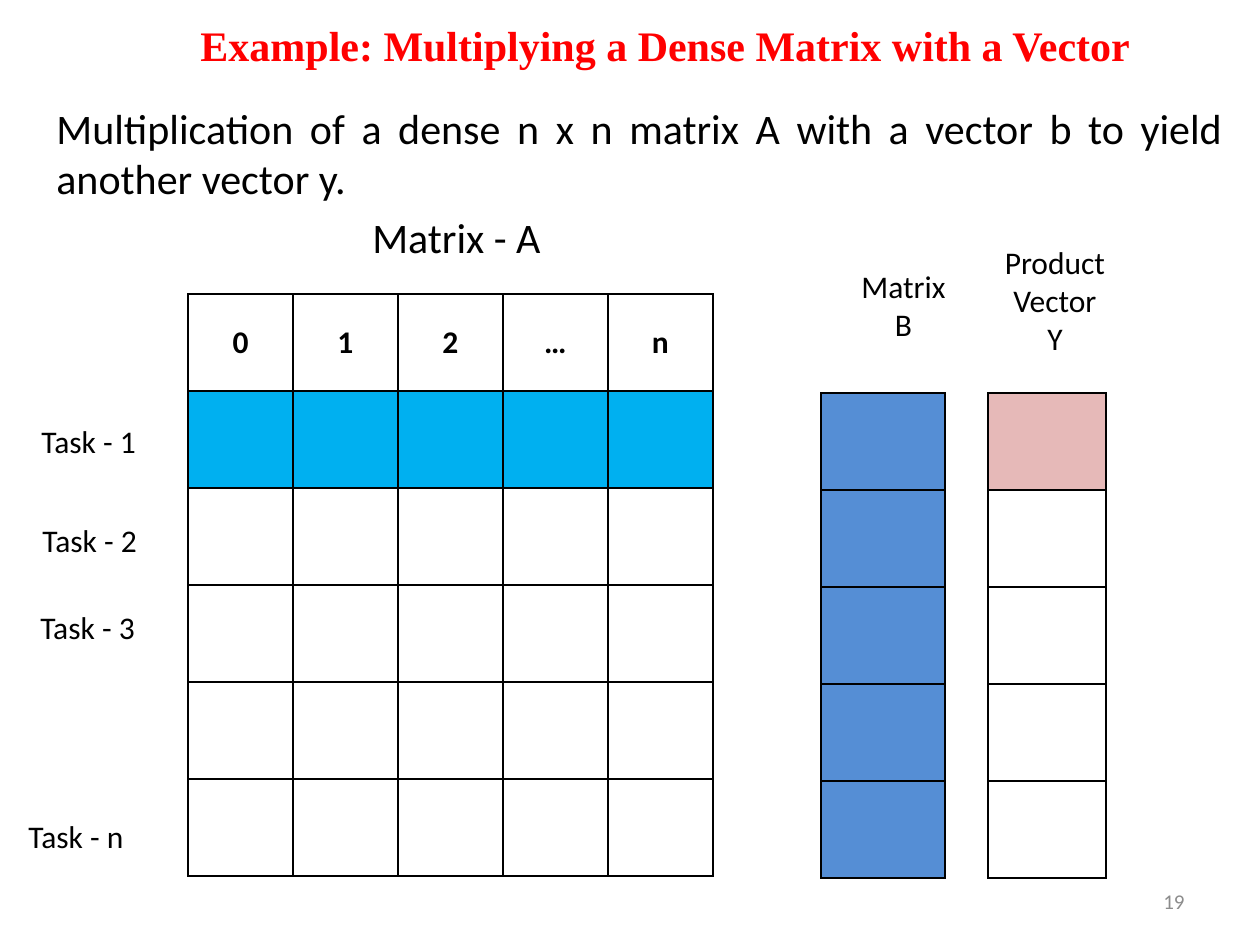
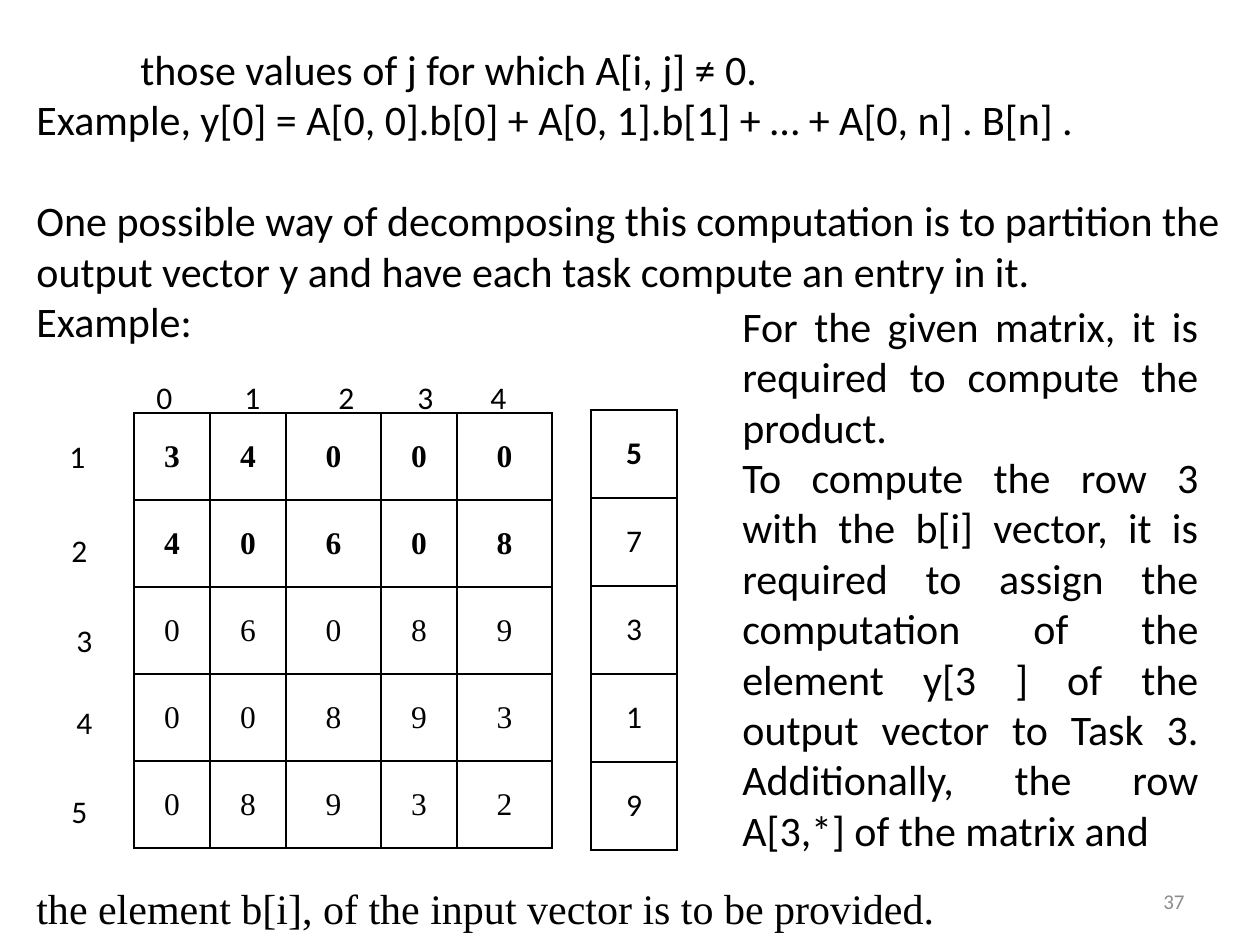
"""Build two slides on multiplying a matrix with a vector."""
from pptx import Presentation
from pptx.dml.color import RGBColor as RGB
from pptx.enum.text import MSO_ANCHOR as Anchor, PP_ALIGN as Align
from pptx.oxml import parse_xml
from pptx.oxml.ns import nsdecls
from pptx.util import Emu, Pt

SCALE = 914400 / 126
THEME = {
    "sans": "Calibri", "serif": "Times New Roman",
    "ink": "000000", "red": "FF0000", "gray": "8C8C8C",
    "sky": "00B0F0", "blue": "558ED5", "rose": "E6B9B8",
    "big": 24, "mid": 18, "small": 12, "rule": 1,
}
STYLES = {
    "title": {"size": "big", "name": "serif", "color": "red", "bold": True},
    "body": {"size": "big", "name": "sans", "color": "ink", "bold": False},
    "serif": {"size": "big", "name": "serif", "color": "ink", "bold": False},
    "label": {"size": "mid", "name": "sans", "color": "ink", "bold": False},
    "head": {"size": "mid", "name": "sans", "color": "ink", "bold": True},
    "cell": {"size": "mid", "name": "serif", "color": "ink", "bold": False},
    "strong": {"size": "mid", "name": "serif", "color": "ink", "bold": True},
    "page": {"size": "small", "name": "sans", "color": "gray", "bold": False},
}
LEFT, MID, JUST, RIGHT = Align.LEFT, Align.CENTER, Align.JUSTIFY, Align.RIGHT

DENSE = {
    "page": "19",
    "texts": [
        ((188, 13, 1052, 63), "title", LEFT,
         ["Example: Multiplying a Dense Matrix with a Vector"]),
        ((44, 96, 1191, 115), "body", JUST,
         ["Multiplication of a dense n x n matrix A with a vector b to yield another vector y."]),
        ((273, 205, 367, 63), "body", MID, ["Matrix - A"]),
        ((834, 261, 139, 89), "label", MID, ["Matrix", "B"]),
        ((973, 237, 164, 127), "label", MID, ["Product", "Vector", "Y"]),
    ],
    "marks": [("Task - 1", 29, 416), ("Task - 2", 30, 515),
              ("Task - 3", 28, 602), ("Task - n", 16, 811)],
    "tables": [
        {"at": (188, 294), "cols": [105] * 5, "row": 97,
         "rows": [["0", "1", "2", "…", "n"]] + [[""] * 5] * 5,
         "styles": ["head"] * 6, "fills": {1: "sky"}},
        {"at": (821, 393), "cols": [124], "row": 97, "rows": [[""]] * 5,
         "styles": ["label"] * 5, "fills": dict.fromkeys(range(5), "blue")},
        {"at": (988, 393), "cols": [118], "row": 97, "rows": [[""]] * 5,
         "styles": ["label"] * 5, "fills": {0: "rose"}},
    ],
}
SPARSE = {
    "page": "37",
    "texts": [
        ((24, 37, 1235, 318), "body", LEFT, [
            ("those values of j for which A[i, j] ≠ 0.", {"indent": 104}),
            "Example, y[0] = A[0, 0].b[0] + A[0, 1].b[1] + … + A[0, n] . B[n] .",
            ("One possible way of decomposing this computation is to partition the "
             "output vector y and have each task compute an entry in it.", {"before": 29}),
            "Example:"]),
        ((144, 372, 407, 50), "label", LEFT,
         [("0\t1\t2\t3\t4", {"tabs": [88, 182, 261, 334]})]),
        ((730, 294, 481, 572), "body", JUST, [
            "For the given matrix, it is required to compute the product.",
            "To compute the row 3 with the b[i] vector, it is required to assign the "
            "computation of the element y[3 ] of the output vector to Task 3. "
            "Additionally, the row A[3,*] of the matrix and"]),
        ((24, 876, 1211, 63), "serif", LEFT,
         ["the element b[i], of the input vector is to be provided."]),
    ],
    "marks": [("1", 57, 431), ("2", 59, 525), ("3", 64, 615),
              ("4", 64, 697), ("5", 59, 786)],
    "tables": [
        {"at": (134, 413), "cols": [76, 76, 95, 76, 95], "row": 87,
         "rows": ["34000", "40608", "06089", "00893", "08932"],
         "styles": ["strong"] * 2 + ["cell"] * 3, "fills": {}},
        {"at": (591, 410), "cols": [86], "row": 88, "rows": "57319",
         "styles": ["head"] + ["label"] * 4, "fills": {}},
    ],
}


def px(num):
    """Turn px into EMU."""
    return Emu(round(num * SCALE))


def style(para, kind, align):
    """Give a paragraph its alignment and font."""
    para.alignment = align
    form = {key: THEME.get(val, val) if isinstance(val, str) else val
            for key, val in STYLES[kind].items()}
    form["size"] = Pt(form["size"])
    para.font.color.rgb = RGB.from_string(form.pop("color"))
    for key, val in form.items():
        setattr(para.font, key, val)


def space(para, indent=0, before=0, tabs=()):
    """Set first-line indent, space before and tab stops."""
    props = para._p.get_or_add_pPr()
    if indent:
        props.set("indent", str(px(indent)))
    if before:
        para.space_before = Pt(before)
    if tabs:
        stops = "".join(f'<a:tab pos="{px(tab)}" algn="l"/>' for tab in tabs)
        props.append(parse_xml(f'<a:tabLst {nsdecls("a")}>{stops}</a:tabLst>'))


def write(slide, box, kind, align, lines, anchor=Anchor.TOP):
    """Add a text box with one paragraph per line."""
    frame = slide.shapes.add_textbox(*map(px, box)).text_frame
    frame.word_wrap, frame.vertical_anchor = True, anchor
    for num, line in enumerate(lines):
        text, gaps = line if isinstance(line, tuple) else (line, {})
        para = frame.add_paragraph() if num else frame.paragraphs[0]
        para.text = text
        space(para, **gaps)
        style(para, kind, align)


def border(cell):
    """Draw the four edges of a cell."""
    props = cell._tc.get_or_add_tcPr()
    for side in "LRTB":
        props.append(parse_xml(
            f'<a:ln{side} {nsdecls("a")} w="{Pt(THEME["rule"])}"><a:solidFill>'
            f'<a:srgbClr val="{THEME["ink"]}"/></a:solidFill></a:ln{side}>'))


def grid(slide, at, cols, row, rows, styles, fills):
    """Add a ruled table with a style and a fill per row."""
    box = (*at, sum(cols), row * len(rows))
    table = slide.shapes.add_table(len(rows), len(cols), *map(px, box)).table
    table.first_row = table.horz_banding = False
    for col, wide in zip(table.columns, cols):
        col.width = px(wide)
    for y, vals in enumerate(rows):
        table.rows[y].height = px(row)
        for x, val in enumerate(vals):
            cell = table.cell(y, x)
            cell.text, cell.vertical_anchor = val, Anchor.MIDDLE
            style(cell.text_frame.paragraphs[0], styles[y], MID)
            border(cell)
            if y in fills:
                cell.fill.solid()
                cell.fill.fore_color.rgb = RGB.from_string(THEME[fills[y]])
            else:
                cell.fill.background()


def build(deck, data):
    """Add one slide from its content."""
    slide = deck.slides.add_slide(deck.slide_layouts[6])
    for part in data["tables"]:
        grid(slide, **part)
    for part in data["texts"]:
        write(slide, *part)
    for text, left, top in data["marks"]:
        write(slide, (left, top, 30 + 16 * len(text), 50), "label", LEFT, [text])
    write(slide, (903, 876, 294, 50), "page", RIGHT, [data["page"]], Anchor.MIDDLE)


def main():
    """Build and save the deck."""
    deck = Presentation()
    deck.slide_width, deck.slide_height = px(1260), px(945)
    for data in (DENSE, SPARSE):
        build(deck, data)
    deck.save("out.pptx")


if __name__ == "__main__":
    main()
